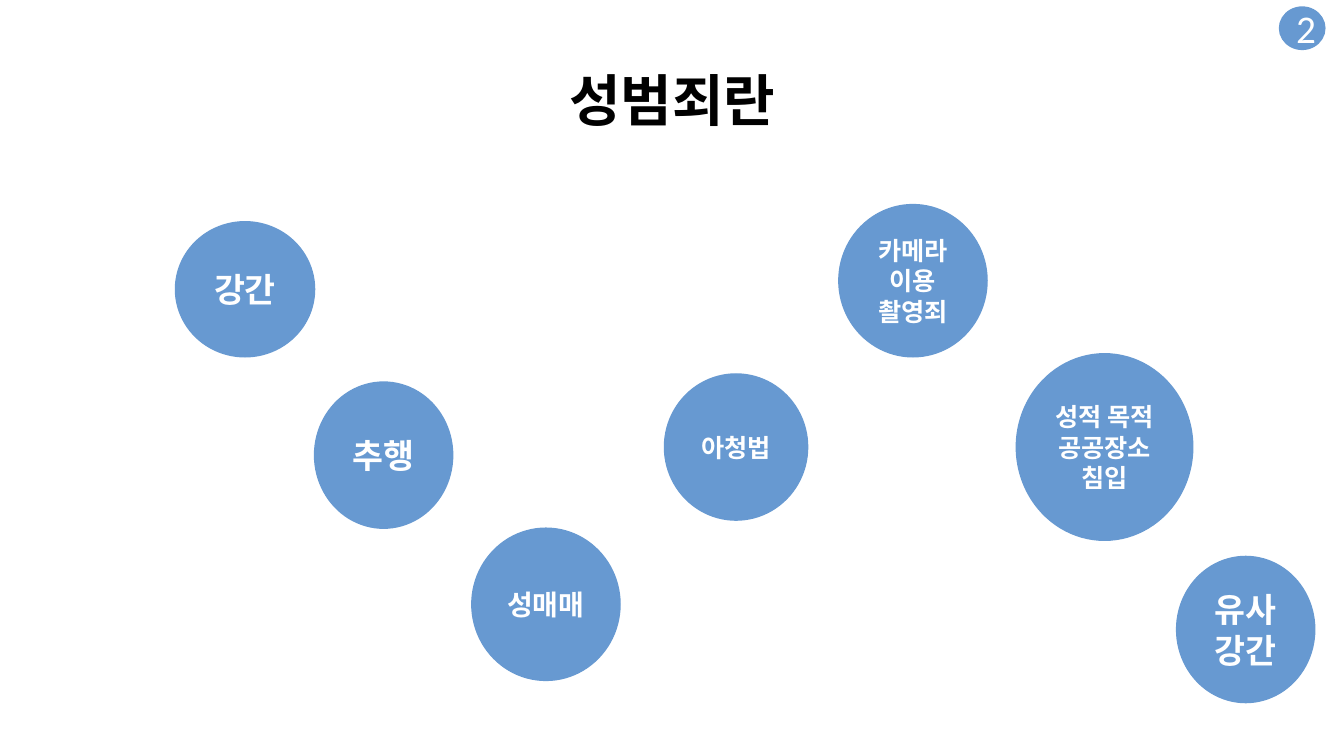
from pptx import Presentation
from pptx import util as u
from pptx.dml.color import RGBColor
from pptx.enum import shapes, text

COLORS = {"circle": "6799D1", "title": "000000", "label": "FFFFFF"}
FONT = "Calibri"
TITLE = "성범죄란"
CIRCLES = [
    ("2", 12.69, 0.07, 0.45, 0.42, 28, False),
    ("강간", 1.74, 2.2, 1.38, 1.34, 24, True),
    ("추행", 3.12, 3.79, 1.37, 1.45, 24, True),
    ("성매매", 4.68, 5.24, 1.47, 1.51, 20, True),
    ("아청법", 6.59, 3.71, 1.42, 1.45, 18, True),
    ("카메라 이용 촬영죄", 8.32, 2.03, 1.47, 1.51, 18, True),
    ("성적 목적 공공장소 침입", 10.08, 3.51, 1.75, 1.85, 18, True),
    ("유사강간", 11.67, 5.52, 1.37, 1.45, 24, True),
]


def color(name):
    return RGBColor.from_string(COLORS[name])


def write(shape, words, size, bold, color_name, anchor):
    frame = shape.text_frame
    frame.text = words
    frame.word_wrap = True
    frame.auto_size = text.MSO_AUTO_SIZE.NONE
    frame.vertical_anchor = anchor
    paragraph = frame.paragraphs[0]
    paragraph.alignment = text.PP_ALIGN.CENTER
    paragraph.font.name = FONT
    paragraph.font.size = u.Pt(size)
    paragraph.font.bold = bold
    paragraph.font.color.rgb = color(color_name)
    return paragraph


def add_title(slide):
    title = slide.shapes.title
    title.left, title.top = u.Inches(1.67), u.Inches(0)
    title.width, title.height = u.Inches(10), u.Inches(1.38)
    paragraph = write(title, TITLE, 40, True, "title", text.MSO_ANCHOR.BOTTOM)
    paragraph.line_spacing = 0.9


def add_circle(slide, words, left, top, width, height, size, bold):
    circle = slide.shapes.add_shape(
        shapes.MSO_SHAPE.FLOWCHART_CONNECTOR,
        *(u.Inches(length) for length in (left, top, width, height)),
    )
    circle.shadow.inherit = False
    circle.fill.solid()
    circle.fill.fore_color.rgb = color("circle")
    circle.line.color.rgb = color("circle")
    circle.line.width = u.Pt(1)
    write(circle, words, size, bold, "label", text.MSO_ANCHOR.MIDDLE)


def main():
    presentation = Presentation()
    presentation.slide_width = u.Inches(13.33)
    presentation.slide_height = u.Inches(7.5)
    slide = presentation.slides.add_slide(presentation.slide_layouts[5])
    add_title(slide)
    for circle in CIRCLES:
        add_circle(slide, *circle)
    presentation.save("out.pptx")


if __name__ == "__main__":
    main()
